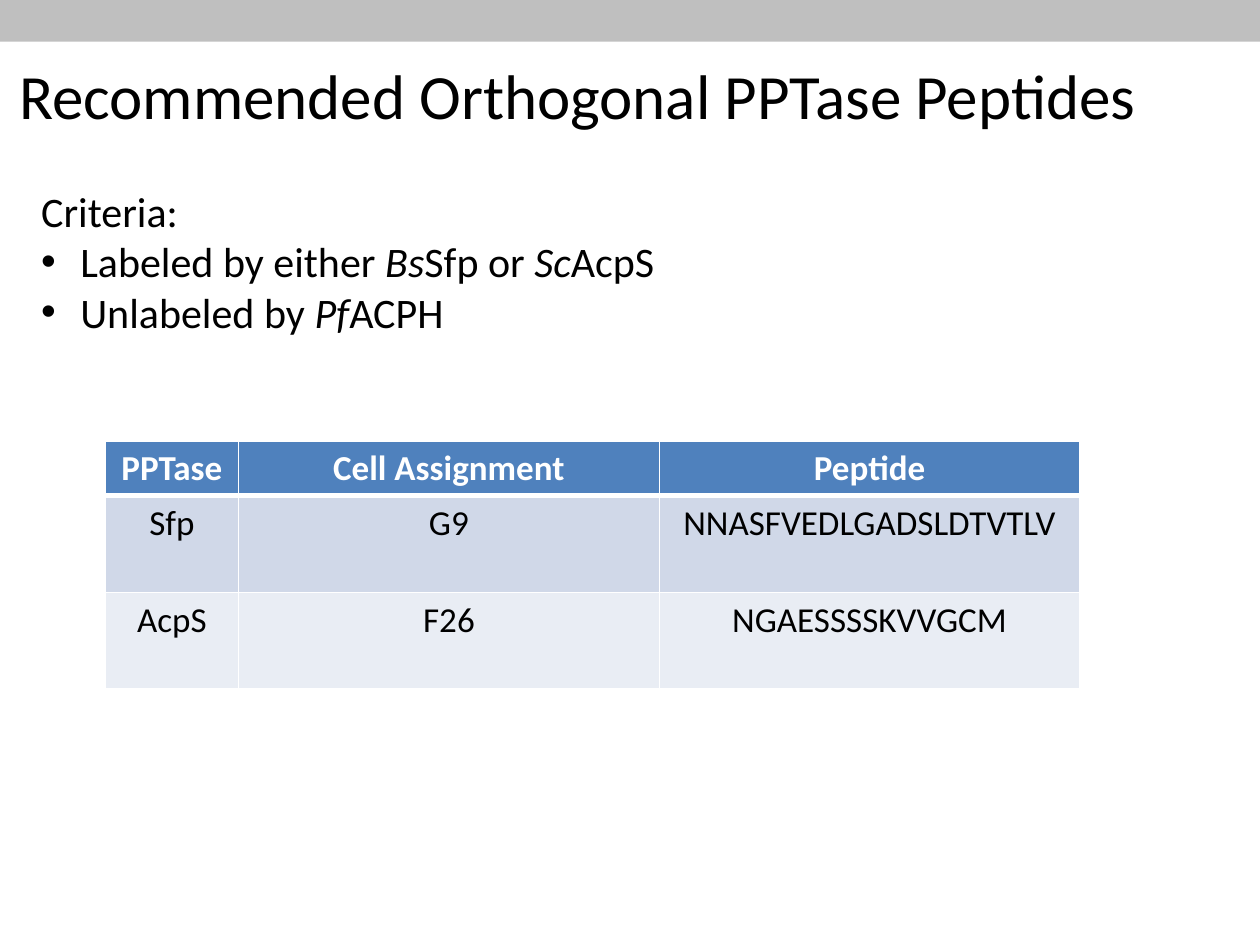
from lxml import etree
from pptx import Presentation, util as u
from pptx.dml.color import RGBColor
from pptx.enum import shapes, text
from pptx.oxml.ns import qn

BLACK = RGBColor(0, 0, 0)
WHITE = RGBColor(255, 255, 255)
BAND_GRAY = RGBColor(0xBF, 0xBF, 0xBF)
HEADER_BLUE = RGBColor(0x4F, 0x81, 0xBD)
ROW_TINTS = (RGBColor(0xD0, 0xD8, 0xE8), RGBColor(0xE9, 0xED, 0xF4))

TITLE_FORMAT = {"name": "Calibri", "size": u.Pt(36)}
CRITERIA_FORMAT = {"name": "Calibri", "size": u.Pt(24)}
HEADER_FORMAT = {"name": "Calibri", "size": u.Pt(20), "bold": True}
BODY_FORMAT = {**HEADER_FORMAT, "bold": False}

CRITERIA = [
    [("Labeled by either ", False), ("Bs", True), ("Sfp or ", False),
     ("Sc", True), ("AcpS", False)],
    [("Unlabeled by ", False), ("Pf", True), ("ACPH", False)],
]
PEPTIDES = [
    ("PPTase", "Cell Assignment", "Peptide"),
    ("Sfp", "G9", "NNASFVEDLGADSLDTVTLV"),
    ("AcpS", "F26", "NGAESSSSKVVGCM"),
]
COLUMN_WIDTHS = (2.69, 8.48, 8.48)
ROW_HEIGHTS = (1.08, 1.95, 1.95)


def add_run(paragraph, words, formatting, color=BLACK, italic=False):
    run = paragraph.add_run()
    run.text = words
    for attribute, value in {**formatting, "italic": italic}.items():
        setattr(run.font, attribute, value)
    run.font.color.rgb = color


def add_top_band(slide, width):
    band = slide.shapes.add_shape(
        shapes.MSO_SHAPE.RECTANGLE, 0, 0, width, u.Cm(0.84))
    band.shadow.inherit = False
    band.fill.solid()
    band.fill.fore_color.rgb = BAND_GRAY
    band.line.fill.background()


def add_title(slide, words):
    title = slide.shapes.add_textbox(0, u.Cm(0.84), u.Cm(23.29), u.Cm(2.11))
    frame = title.text_frame
    frame.word_wrap = True
    frame.vertical_anchor = text.MSO_ANCHOR.MIDDLE
    frame.paragraphs[0].alignment = text.PP_ALIGN.CENTER
    add_run(frame.paragraphs[0], words, TITLE_FORMAT)


def add_bullet(paragraph):
    properties = paragraph._p.get_or_add_pPr()
    indent = u.Cm(0.79)
    properties.set("marL", str(indent))
    properties.set("indent", str(-indent))
    etree.SubElement(properties, qn("a:buFont"), typeface="Arial")
    etree.SubElement(properties, qn("a:buChar"), char="•")


def add_criteria(slide, heading, criteria):
    box = slide.shapes.add_textbox(u.Cm(0.58), u.Cm(3.61), u.Cm(13), u.Cm(3.33))
    frame = box.text_frame
    frame.word_wrap = False
    frame.auto_size = text.MSO_AUTO_SIZE.SHAPE_TO_FIT_TEXT
    add_run(frame.paragraphs[0], heading, CRITERIA_FORMAT)
    for criterion in criteria:
        paragraph = frame.add_paragraph()
        add_bullet(paragraph)
        for words, italic in criterion:
            add_run(paragraph, words, CRITERIA_FORMAT, italic=italic)


def add_borders(cell, bottom_width, top_width):
    properties = cell._tc.get_or_add_tcPr()
    widths = {"lnL": 1, "lnR": 1, "lnT": top_width, "lnB": bottom_width}
    for side, width in widths.items():
        line = etree.SubElement(properties, qn(f"a:{side}"), w=str(u.Pt(width)))
        fill = etree.SubElement(line, qn("a:solidFill"))
        etree.SubElement(fill, qn("a:srgbClr"), val=str(WHITE))


def fill_cell(cell, words, row):
    is_header = row == 0
    add_borders(cell, 3 if is_header else 1, 3 if row == 1 else 1)
    cell.fill.solid()
    cell.fill.fore_color.rgb = HEADER_BLUE if is_header else ROW_TINTS[row - 1]
    paragraph = cell.text_frame.paragraphs[0]
    paragraph.alignment = text.PP_ALIGN.CENTER
    add_run(paragraph, words, HEADER_FORMAT if is_header else BODY_FORMAT,
            WHITE if is_header else BLACK)


def add_peptide_table(slide, rows):
    table = slide.shapes.add_table(
        len(rows), len(rows[0]), u.Cm(2.12), u.Cm(8.89),
        u.Cm(sum(COLUMN_WIDTHS)), u.Cm(sum(ROW_HEIGHTS))).table
    for column, width in zip(table.columns, COLUMN_WIDTHS):
        column.width = u.Cm(width)
    for row, height in zip(table.rows, ROW_HEIGHTS):
        row.height = u.Cm(height)
    for row, entries in enumerate(rows):
        for column, words in enumerate(entries):
            fill_cell(table.cell(row, column), words, row)


def main():
    deck = Presentation()
    deck.slide_width, deck.slide_height = u.Cm(25.4), u.Cm(19.05)
    slide = deck.slides.add_slide(deck.slide_layouts[6])
    add_top_band(slide, deck.slide_width)
    add_title(slide, "Recommended Orthogonal PPTase Peptides")
    add_criteria(slide, "Criteria:", CRITERIA)
    add_peptide_table(slide, PEPTIDES)
    deck.save("out.pptx")


if __name__ == "__main__":
    main()
